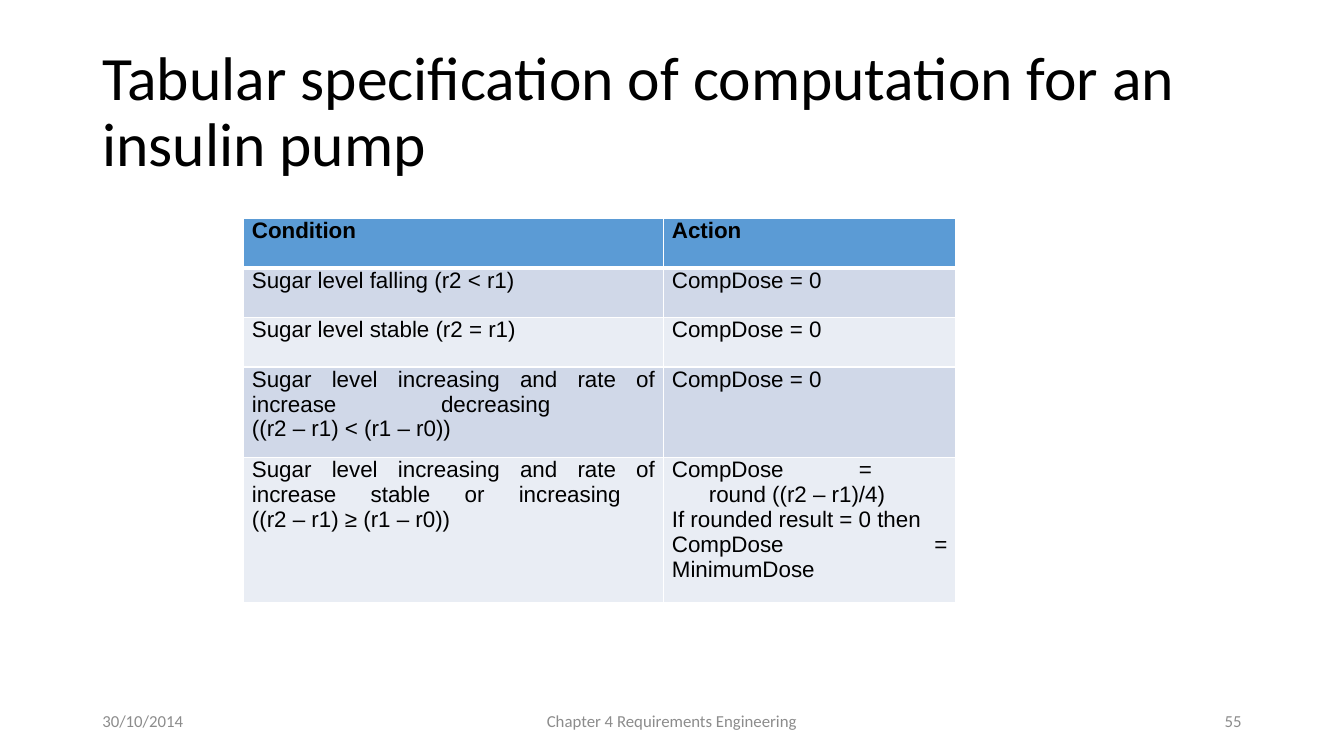
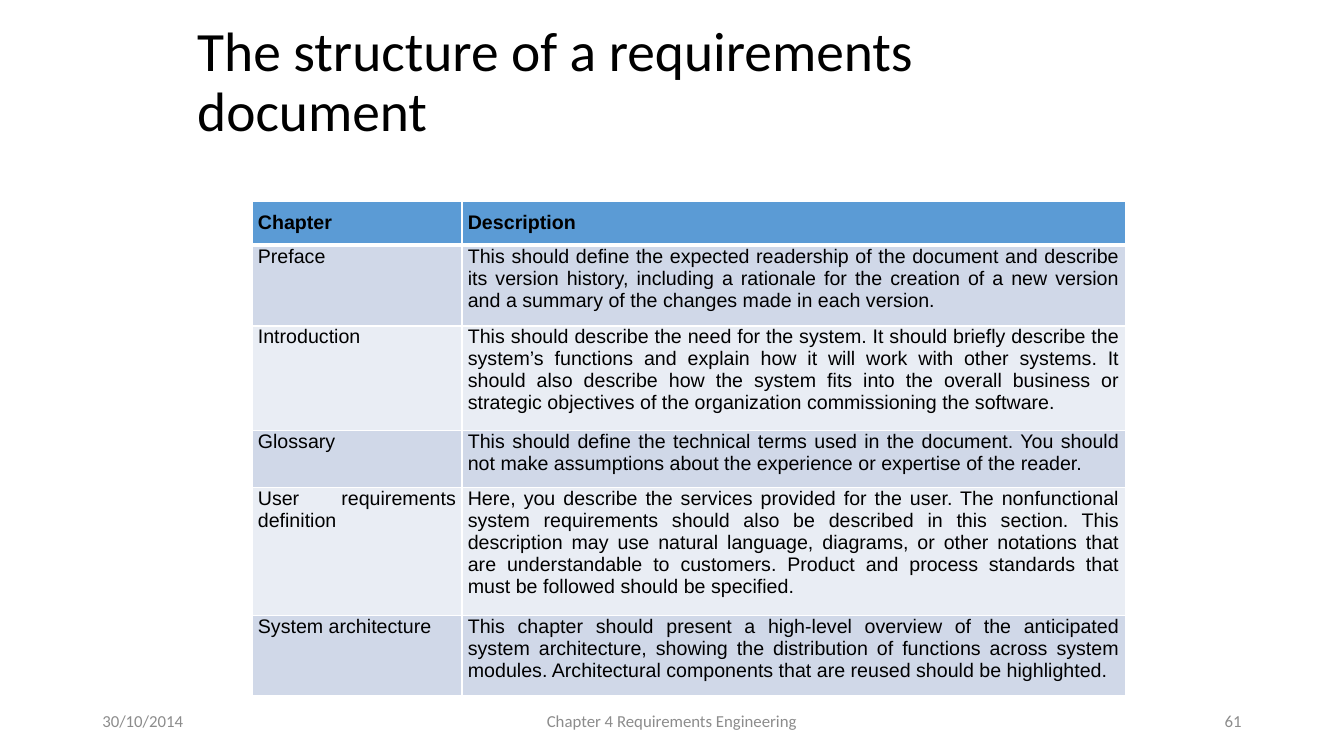
"""Build two requirements engineering slides, each with a title, a table and a footer."""
from dataclasses import dataclass

import pptx
import pptx.dml.color
import pptx.enum.text
import pptx.oxml
import pptx.oxml.ns
import pptx.util
from lxml import etree

UNIT = pptx.util.Emu(76200)
COLUMNS, ROWS = 160, 90
COLORS = {
    "text": "000000",
    "footer": "8C8C8C",
    "header": "5B9BD5",
    "odd": "D0D8E8",
    "even": "E9EDF4",
    "border": "FFFFFF",
}
HEADING_FONT, TABLE_FONT = "Calibri", "Arial"
ALIGN = pptx.enum.text.PP_ALIGN
FOOTER_TOP, FOOTER_HEIGHT = 83.4, 4.8
DATE, CHAPTER = "30/10/2014", "Chapter 4 Requirements Engineering"


@dataclass(frozen=True)
class Area:
    """A rectangle in grid columns and rows."""

    left: float
    top: float
    width: float
    height: float


@dataclass(frozen=True)
class TextStyle:
    """The look of a paragraph."""

    size: float
    font: str = HEADING_FONT
    color: str = "text"
    bold: bool = False
    align: ALIGN = ALIGN.LEFT
    line_spacing: float = 1.0


@dataclass(frozen=True)
class Para:
    """A cell paragraph whose lines after the first are indented."""

    text: str
    hanging: float = 0


@dataclass(frozen=True)
class Grid:
    """A table with its place, proportions and wording."""

    left: float
    top: float
    widths: tuple[float, ...]
    heights: tuple[float, ...]
    size: float
    side_inset: float
    header_inset: float
    rows: tuple[tuple[str | tuple[Para, ...], ...], ...]


@dataclass(frozen=True)
class Page:
    """The content of one slide."""

    title: str
    title_area: Area
    title_size: float
    number: str
    grid: Grid


def grid_length(count: float) -> pptx.util.Emu:
    """Convert grid units to a length."""
    return pptx.util.Emu(round(count * UNIT))


def rgb(name: str) -> pptx.dml.color.RGBColor:
    """Look up a named colour."""
    return pptx.dml.color.RGBColor.from_string(COLORS[name])


def style_paragraph(paragraph, text: str, style: TextStyle) -> None:
    """Write text into a paragraph and format it."""
    paragraph.text = text
    paragraph.alignment = style.align
    paragraph.line_spacing = style.line_spacing
    font = paragraph.font
    font.name, font.size, font.bold = style.font, pptx.util.Pt(style.size), style.bold
    font.color.rgb = rgb(style.color)


def add_text(slide, area: Area, text: str, style: TextStyle) -> None:
    """Add a vertically centred text box."""
    lengths = map(grid_length, (area.left, area.top, area.width, area.height))
    frame = slide.shapes.add_textbox(*lengths).text_frame
    frame.word_wrap = True
    frame.vertical_anchor = pptx.enum.text.MSO_ANCHOR.MIDDLE
    style_paragraph(frame.paragraphs[0], text, style)


def add_borders(cell, top: float, bottom: float) -> None:
    """Draw the four borders of a cell, with widths in points."""
    properties = cell._tc.get_or_add_tcPr()
    for side, width in (("L", 1), ("R", 1), ("T", top), ("B", bottom)):
        line = etree.SubElement(
            properties, pptx.oxml.ns.qn(f"a:ln{side}"), w=str(pptx.util.Pt(width))
        )
        fill = etree.SubElement(line, pptx.oxml.ns.qn("a:solidFill"))
        etree.SubElement(fill, pptx.oxml.ns.qn("a:srgbClr"), val=COLORS["border"])


def fill_cell(cell, content: str | tuple[Para, ...], row: int, grid: Grid) -> None:
    """Write and format one table cell."""
    header = row == 0
    cell.margin_left = cell.margin_right = grid_length(grid.side_inset)
    cell.margin_top = grid_length(grid.header_inset if header else 0)
    cell.margin_bottom = grid_length(1.2)
    add_borders(cell, 3 if row == 1 else 1, 3 if header else 1)
    cell.fill.solid()
    cell.fill.fore_color.rgb = rgb("header" if header else "odd" if row % 2 else "even")
    style = TextStyle(grid.size, TABLE_FONT, bold=header, align=ALIGN.JUSTIFY)
    paras = (Para(content),) if isinstance(content, str) else content
    frame = cell.text_frame
    for index, para in enumerate(paras):
        paragraph = frame.add_paragraph() if index else frame.paragraphs[0]
        style_paragraph(paragraph, para.text, style)
        if para.hanging:
            indent = grid_length(para.hanging)
            properties = paragraph._p.get_or_add_pPr()
            properties.set("marL", str(indent))
            properties.set("indent", str(-indent))


def add_grid(slide, grid: Grid) -> None:
    """Add a banded table."""
    lengths = map(
        grid_length, (grid.left, grid.top, sum(grid.widths), sum(grid.heights))
    )
    table = slide.shapes.add_table(len(grid.rows), len(grid.widths), *lengths).table
    for column, width in zip(table.columns, grid.widths):
        column.width = grid_length(width)
    for index, (height, contents) in enumerate(zip(grid.heights, grid.rows)):
        table.rows[index].height = grid_length(height)
        for column, content in enumerate(contents):
            fill_cell(table.cell(index, column), content, index, grid)


def add_footer(slide, number: str) -> None:
    """Add the date, the chapter name and the page number."""
    for left, width, text, align in (
        (11, 36, DATE, ALIGN.LEFT),
        (53, 54, CHAPTER, ALIGN.CENTER),
        (113, 36, number, ALIGN.RIGHT),
    ):
        area = Area(left, FOOTER_TOP, width, FOOTER_HEIGHT)
        add_text(slide, area, text, TextStyle(12, color="footer", align=align))


def add_page(deck, page: Page) -> None:
    """Add one slide to the deck."""
    slide = deck.slides.add_slide(deck.slide_layouts[6])
    title_style = TextStyle(page.title_size, line_spacing=0.9)
    add_text(slide, page.title_area, page.title, title_style)
    add_grid(slide, page.grid)
    add_footer(slide, page.number)


PAGES = (
    Page(
        "Tabular specification of computation for an insulin pump",
        Area(11, 4.8, 138, 17.4),
        44,
        "55",
        Grid(
            left=29,
            top=26,
            widths=(50, 34.8),
            heights=(5.9, 5.9, 5.9, 10.1, 16),
            size=16,
            side_inset=1,
            header_inset=0,
            rows=(
                ("Condition", "Action"),
                ("Sugar level falling (r2 < r1)", "CompDose = 0"),
                ("Sugar level stable (r2 = r1)", "CompDose = 0"),
                (
                    "Sugar level increasing and rate of increase decreasing \n"
                    "((r2 – r1) < (r1 – r0))",
                    "CompDose = 0",
                ),
                (
                    "Sugar level increasing and rate of increase stable or increasing \n"
                    "((r2 – r1) ≥ (r1 – r0))",
                    (
                        Para("CompDose = \nround ((r2 – r1)/4)", hanging=4.4),
                        Para("If rounded result = 0 then"),
                        Para("CompDose = MinimumDose"),
                    ),
                ),
            ),
        ),
    ),
    Page(
        "The structure of a requirements document",
        Area(22.3, 2.8, 96.7, 14.3),
        39.6,
        "61",
        Grid(
            left=30,
            top=24,
            widths=(25, 79),
            heights=(4.9, 9.1, 11.8, 6.5, 14.3, 9),
            size=14,
            side_inset=0.7,
            header_inset=1.2,
            rows=(
                ("Chapter", "Description"),
                (
                    "Preface",
                    "This should define the expected readership of the document and "
                    "describe its version history, including a rationale for the "
                    "creation of a new version and a summary of the changes made in "
                    "each version.",
                ),
                (
                    "Introduction",
                    "This should describe the need for the system. It should briefly "
                    "describe the system’s functions and explain how it will work with "
                    "other systems. It should also describe how the system fits into "
                    "the overall business or strategic objectives of the organization "
                    "commissioning the software.",
                ),
                (
                    "Glossary",
                    "This should define the technical terms used in the document. You "
                    "should not make assumptions about the experience or expertise of "
                    "the reader.",
                ),
                (
                    "User requirements definition",
                    "Here, you describe the services provided for the user. The "
                    "nonfunctional system requirements should also be described in "
                    "this section. This description may use natural language, "
                    "diagrams, or other notations that are understandable to "
                    "customers. Product and process standards that must be followed "
                    "should be specified.",
                ),
                (
                    "System architecture",
                    "This chapter should present a high-level overview of the "
                    "anticipated system architecture, showing the distribution of "
                    "functions across system modules. Architectural components that "
                    "are reused should be highlighted.",
                ),
            ),
        ),
    ),
)


def main() -> None:
    """Build and save the deck."""
    deck = pptx.Presentation()
    deck.slide_width = grid_length(COLUMNS)
    deck.slide_height = grid_length(ROWS)
    for page in PAGES:
        add_page(deck, page)
    deck.save("out.pptx")


if __name__ == "__main__":
    main()
